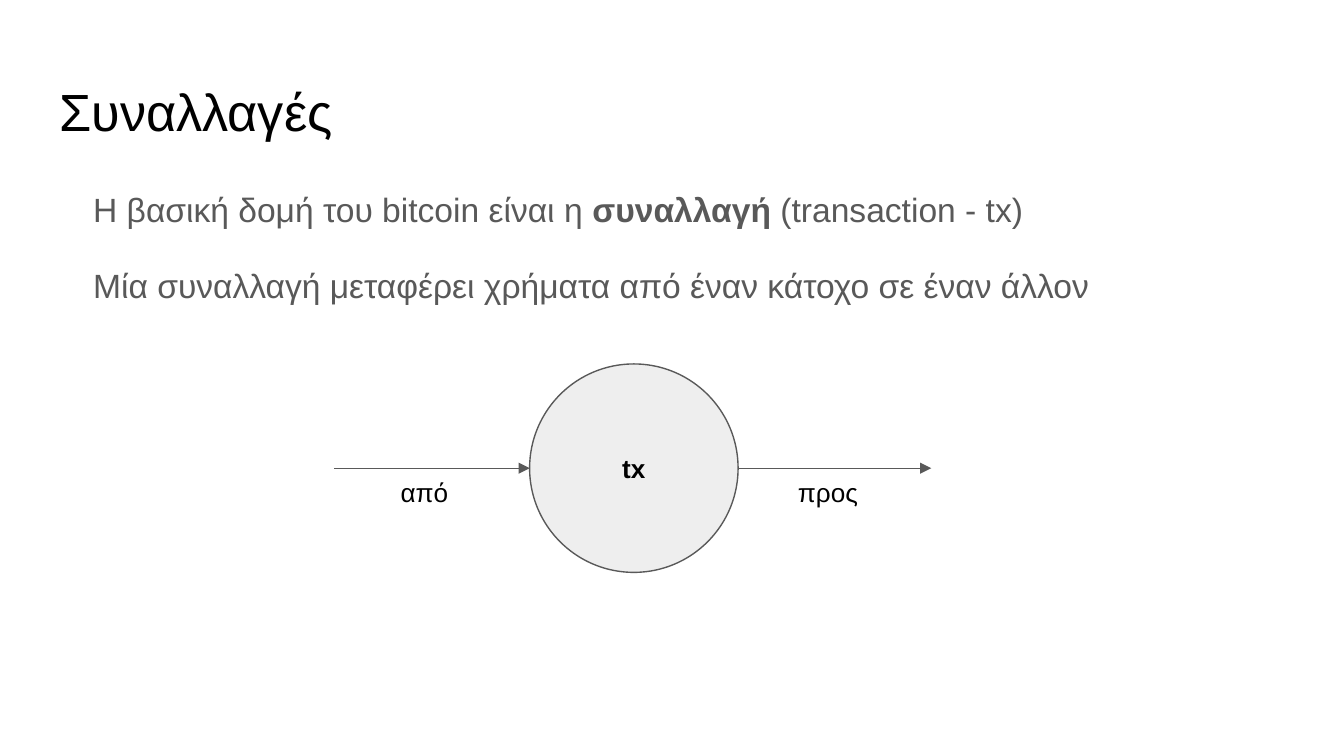
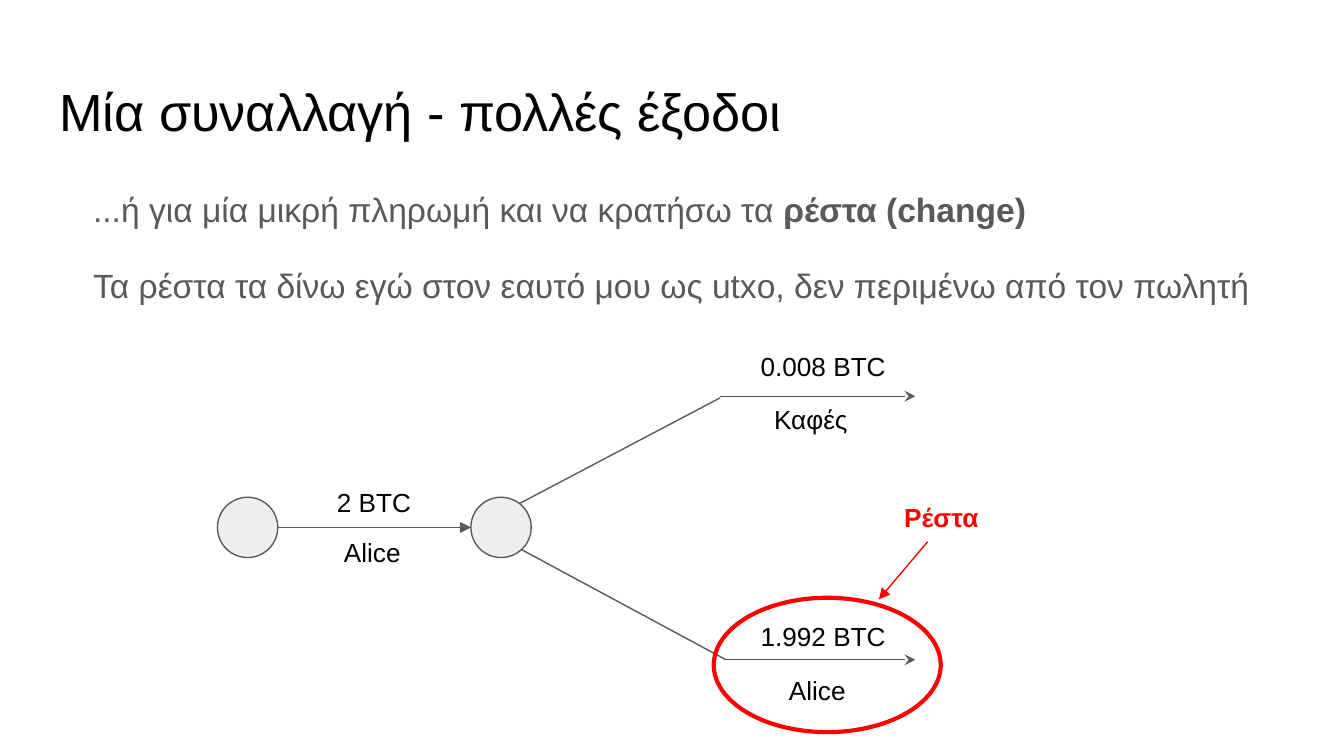
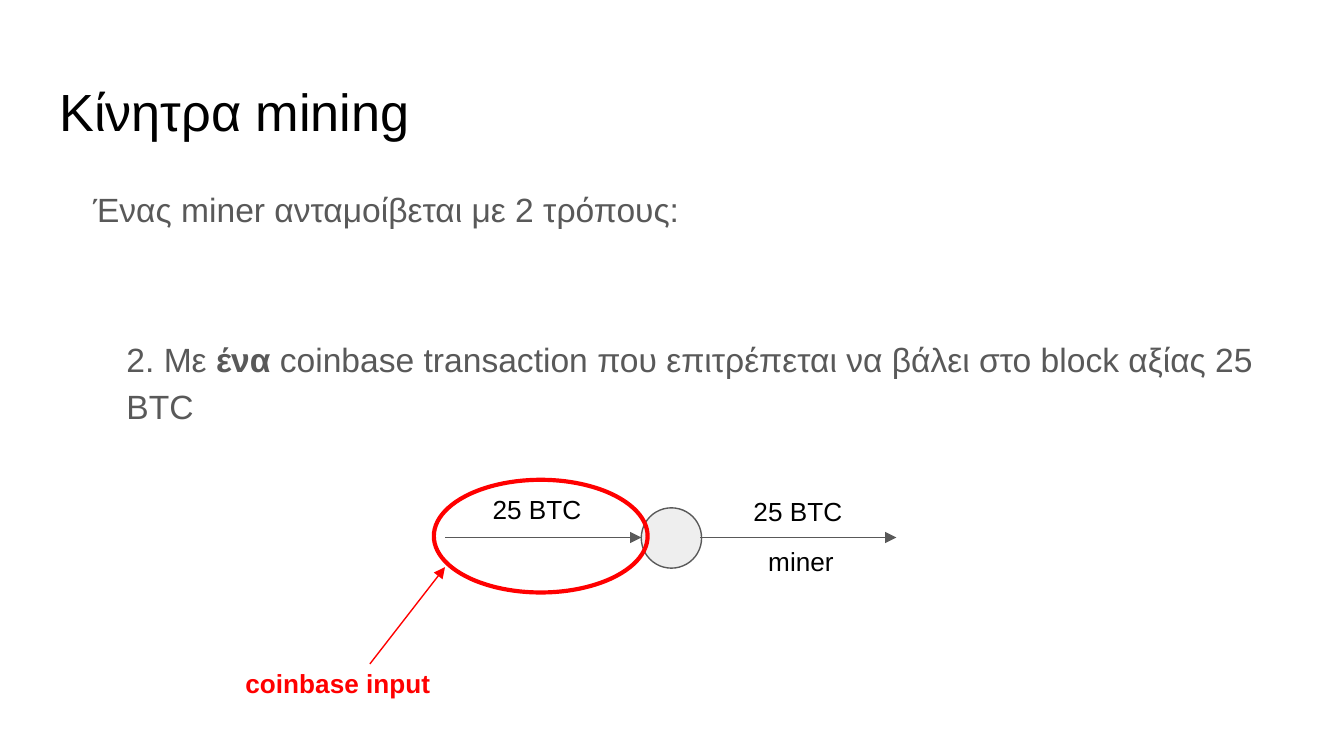
from dataclasses import dataclass
from typing import NamedTuple, Optional

from lxml.etree import SubElement
from pptx import Presentation
from pptx.dml.color import RGBColor
from pptx.enum.shapes import MSO_CONNECTOR as Connector, MSO_SHAPE as Preset
from pptx.enum.text import MSO_ANCHOR as Anchor, MSO_AUTO_SIZE as AutoSize, PP_ALIGN as Align
from pptx.oxml.ns import qn
from pptx.util import Cm, Pt


@dataclass(frozen=True)
class Theme:
    font: str = "Arial"
    ink: str = "000000"
    grey: str = "595959"
    pale: str = "EEEEEE"
    red: str = "FF0000"
    title_size: float = 28
    body_size: float = 18
    label_size: float = 14
    thin: float = 0.75
    thick: float = 2.25
    inset: float = 0.25


THEME = Theme()
LABEL_HEIGHT = 1.14
NODE = 1.14
SHORT, MEDIUM, LONG = 1.93, 3.48, 4.29


class Span(NamedTuple):
    text: str
    bold: bool = False


class Item(NamedTuple):
    spans: tuple[Span, ...]
    first_indent: float = -0.63
    before: float = 0


class Label(NamedTuple):
    text: str
    left: float
    top: float
    width: float = SHORT
    height: float = LABEL_HEIGHT
    centred: bool = False
    alert: bool = False


class Node(NamedTuple):
    left: float
    top: float
    size: float = NODE
    text: str = ""


class Ring(NamedTuple):
    left: float
    top: float
    width: float
    height: float


class Link(NamedTuple):
    start: tuple[float, float]
    end: tuple[float, float]
    tail: Optional[str] = "triangle"
    color: str = THEME.grey


class Page(NamedTuple):
    title: str
    items: tuple[Item, ...]
    figures: tuple


def amount(text: str, left: float, top: float) -> Label:
    return Label(text, left, top, MEDIUM, centred=True)


PAGES = (
    Page(
        "Συναλλαγές",
        (
            Item((Span("Η βασική δομή του bitcoin είναι η "), Span("συναλλαγή ", True),
                  Span("(transaction - tx)"))),
            Item((Span("Μία συναλλαγή μεταφέρει χρήματα από έναν κάτοχο σε έναν άλλον"),)),
        ),
        (
            Node(10.01, 6.88, 3.94, "tx"),
            Link((6.32, 8.85), (10.01, 8.85)),
            Link((13.95, 8.85), (17.6, 8.85)),
            Label("από", 7.32, 8.76),
            Label("προς", 14.83, 8.76),
        ),
    ),
    Page(
        "Μία συναλλαγή - πολλές έξοδοι",
        (
            Item((Span("...ή για μία μικρή πληρωμή και να κρατήσω τα "),
                  Span("ρέστα (change)", True))),
            Item((Span("Τα ρέστα τα δίνω εγώ στον εαυτό μου ως utxo, "
                       "δεν περιμένω από τον πωλητή"),)),
        ),
        (
            amount("2 BTC", 5.33, 8.94),
            Label("Alice", 6.25, 9.88),
            Node(4.11, 9.4),
            Link((5.25, 9.97), (8.9, 9.97)),
            Link((9.82, 10.37), (13.72, 12.47), None),
            Link((9.7, 9.58), (13.61, 7.52), None),
            Node(8.9, 9.4),
            Link((13.61, 7.49), (17.3, 7.49), "stealth"),
            Link((13.72, 12.47), (17.3, 12.47), "stealth"),
            Label("Alice", 14.66, 12.5, 1.65),
            Label("Καφές", 14.38, 7.37, LONG),
            amount("0.008 BTC", 13.82, 6.38),
            amount("1.992 BTC", 13.82, 11.48),
            Ring(13.49, 11.3, 4.29, 2.54),
            Link((17.53, 10.24), (16.61, 11.33), color=THEME.red),
            Label("Ρέστα", 16.84, 9.22, height=1.02, alert=True),
        ),
    ),
    Page(
        "Κίνητρα mining",
        (
            Item((Span("Ένας miner ανταμοίβεται με 2 τρόπους:"),)),
            Item((Span("2. Με "), Span("ένα", True),
                  Span(" coinbase transaction που επιτρέπεται να βάλει στο block αξίας 25 BTC")),
                 first_indent=0, before=40),
        ),
        (
            Node(12.12, 9.6),
            Link((13.23, 10.16), (16.94, 10.16)),
            Link((8.41, 10.16), (12.12, 10.16)),
            amount("25 BTC", 13.34, 9.12),
            Label("miner", 14.27, 10.06),
            amount("25 BTC", 8.41, 9.07),
            Ring(8.2, 9.07, 4.04, 2.13),
            Link((6.99, 12.55), (8.41, 10.72), color=THEME.red),
            Label("coinbase input", 4.39, 12.37, LONG, 1.55, alert=True),
        ),
    ),
)


def rgb(color: str) -> RGBColor:
    return RGBColor.from_string(color)


def write(para, text: str, *, size: float = THEME.label_size, color: str = THEME.ink,
          bold: bool = False, align=Align.LEFT) -> None:
    para.alignment = align
    span = para.add_run()
    span.text = text
    span.font.name = THEME.font
    span.font.size = Pt(size)
    span.font.bold = bold
    span.font.color.rgb = rgb(color)


def prepare_frame(shape, anchor=Anchor.TOP):
    frame = shape.text_frame
    frame.word_wrap = True
    frame.auto_size = AutoSize.NONE
    frame.vertical_anchor = anchor
    frame.margin_left = frame.margin_right = Cm(THEME.inset)
    frame.margin_top = frame.margin_bottom = Cm(THEME.inset)
    return frame


def place(shape, left: float, top: float, width: float, height: float) -> None:
    shape.left, shape.top = Cm(left), Cm(top)
    shape.width, shape.height = Cm(width), Cm(height)


def fill_title(slide, text: str) -> None:
    box = slide.shapes.title
    place(box, 0.87, 1.24, 23.67, 1.6)
    write(prepare_frame(box).paragraphs[0], text, size=THEME.title_size)


def fill_body(slide, items: tuple[Item, ...]) -> None:
    box = slide.placeholders[1]
    place(box, 0.87, 3.2, 23.67, 9.5)
    frame = prepare_frame(box)
    for index, item in enumerate(items):
        para = frame.add_paragraph() if index else frame.paragraphs[0]
        properties = para._p.get_or_add_pPr()
        properties.set("marL", str(Cm(1.27)))
        properties.set("indent", str(Cm(item.first_indent)))
        SubElement(properties, qn("a:buNone"))
        para.line_spacing = 1.15
        para.space_before = Pt(item.before)
        para.space_after = Pt(16)
        for span in item.spans:
            write(para, span.text, size=THEME.body_size, color=THEME.grey, bold=span.bold)


def draw_label(slide, label: Label) -> None:
    box = slide.shapes.add_textbox(
        Cm(label.left), Cm(label.top), Cm(label.width), Cm(label.height))
    write(prepare_frame(box).paragraphs[0], label.text, bold=label.alert,
          color=THEME.red if label.alert else THEME.ink,
          align=Align.CENTER if label.centred else Align.LEFT)


def add_ellipse(slide, ring: Ring, color: str, weight: float):
    shape = slide.shapes.add_shape(
        Preset.OVAL, Cm(ring.left), Cm(ring.top), Cm(ring.width), Cm(ring.height))
    shape.shadow.inherit = False
    shape.line.color.rgb = rgb(color)
    shape.line.width = Pt(weight)
    return shape


def draw_node(slide, node: Node) -> None:
    shape = add_ellipse(
        slide, Ring(node.left, node.top, node.size, node.size), THEME.grey, THEME.thin)
    shape.fill.solid()
    shape.fill.fore_color.rgb = rgb(THEME.pale)
    if node.text:
        frame = prepare_frame(shape, Anchor.MIDDLE)
        write(frame.paragraphs[0], node.text, bold=True, align=Align.CENTER)


def draw_ring(slide, ring: Ring) -> None:
    add_ellipse(slide, ring, THEME.red, THEME.thick).fill.background()


def draw_link(slide, link: Link) -> None:
    ends = [Cm(value) for value in (*link.start, *link.end)]
    connector = slide.shapes.add_connector(Connector.STRAIGHT, *ends)
    connector.line.color.rgb = rgb(link.color)
    connector.line.width = Pt(THEME.thin)
    properties = connector.element.spPr
    if link.tail:
        SubElement(properties.find(qn("a:ln")), qn("a:tailEnd"), type=link.tail)
    SubElement(properties, qn("a:effectLst"))


DRAWERS = {Label: draw_label, Node: draw_node, Ring: draw_ring, Link: draw_link}


def build_page(deck, page: Page) -> None:
    slide = deck.slides.add_slide(deck.slide_layouts[1])
    fill_title(slide, page.title)
    fill_body(slide, page.items)
    for figure in page.figures:
        DRAWERS[type(figure)](slide, figure)


def main() -> None:
    deck = Presentation()
    deck.slide_width, deck.slide_height = Cm(25.4), Cm(14.29)
    for page in PAGES:
        build_page(deck, page)
    deck.save("out.pptx")


if __name__ == "__main__":
    main()
